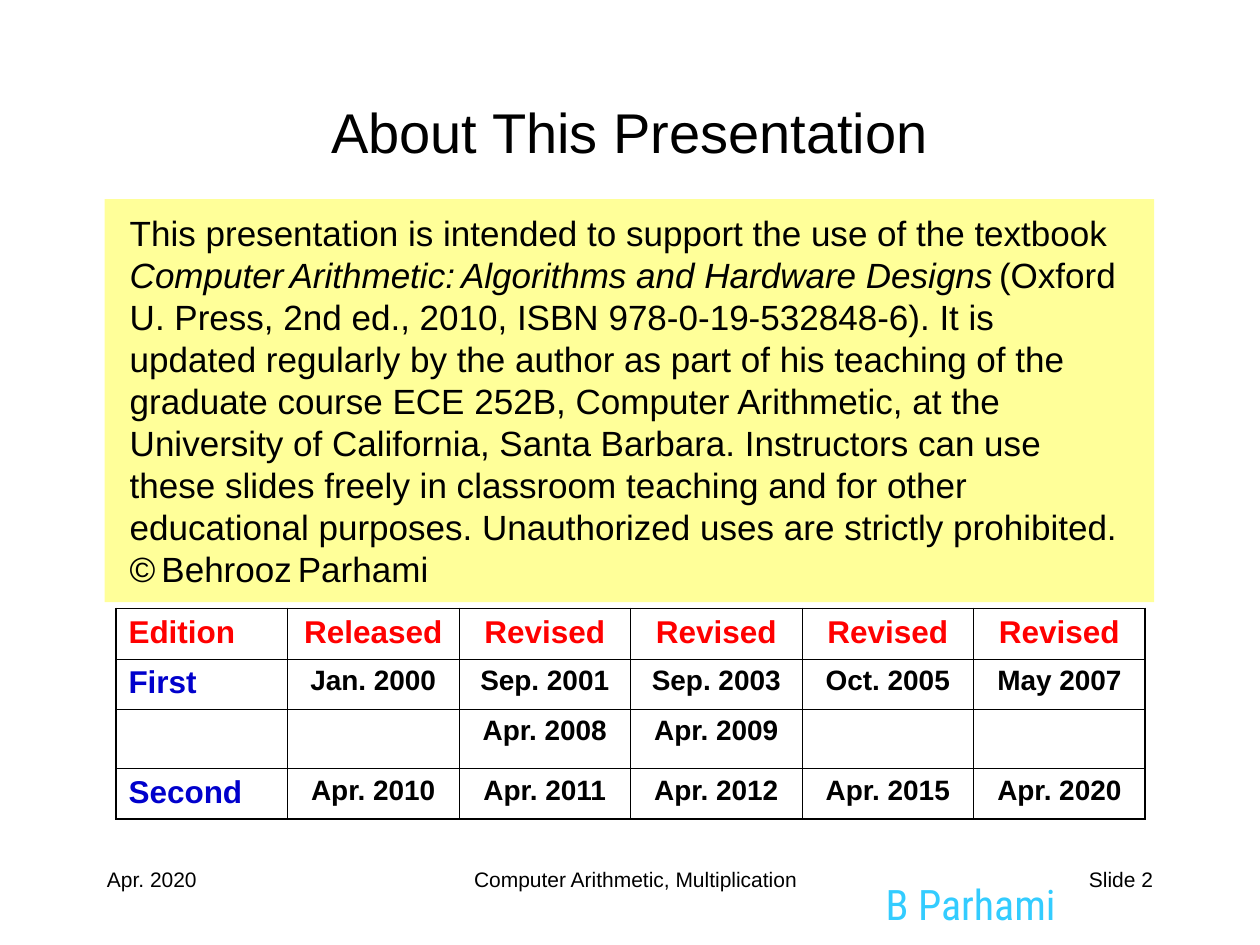
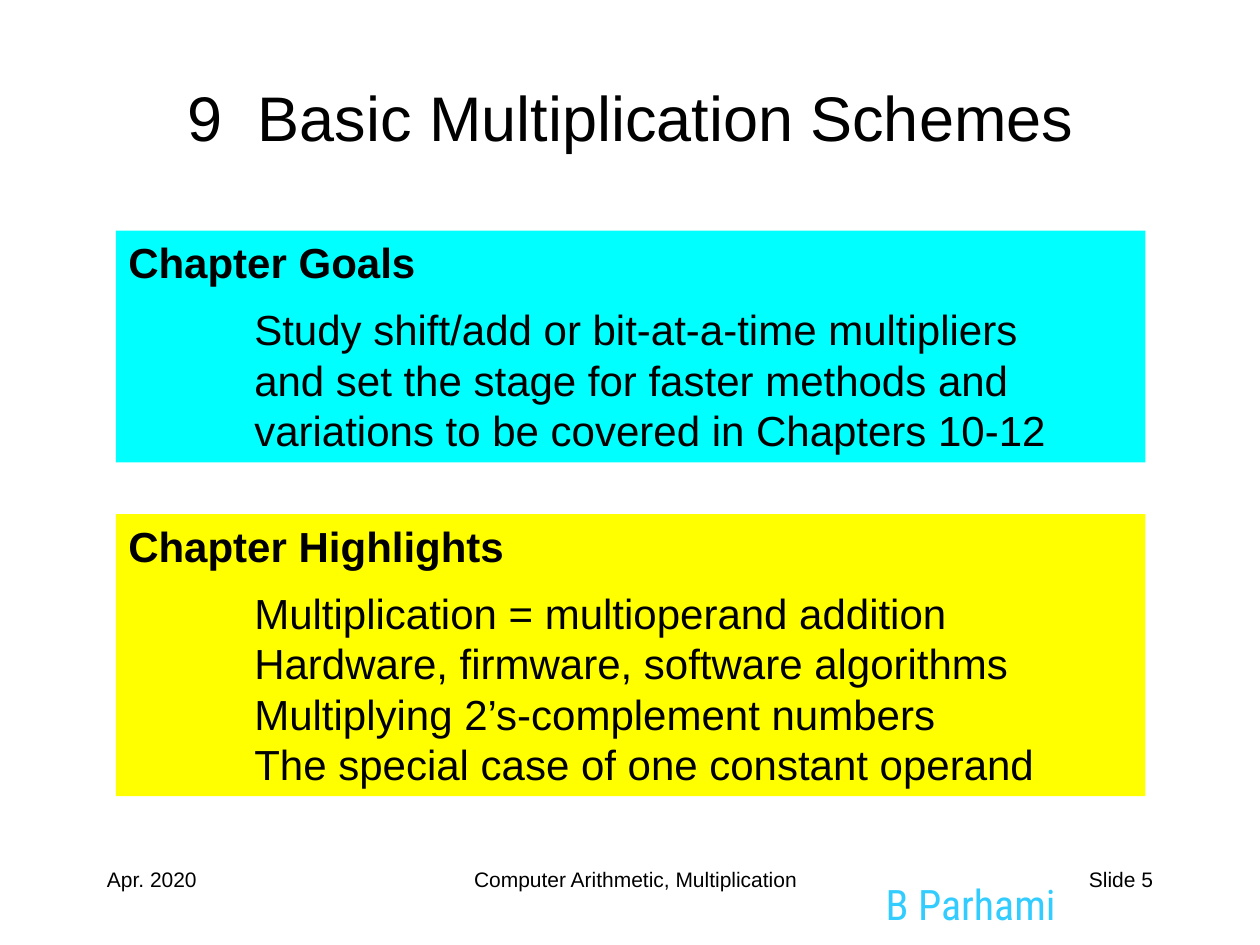
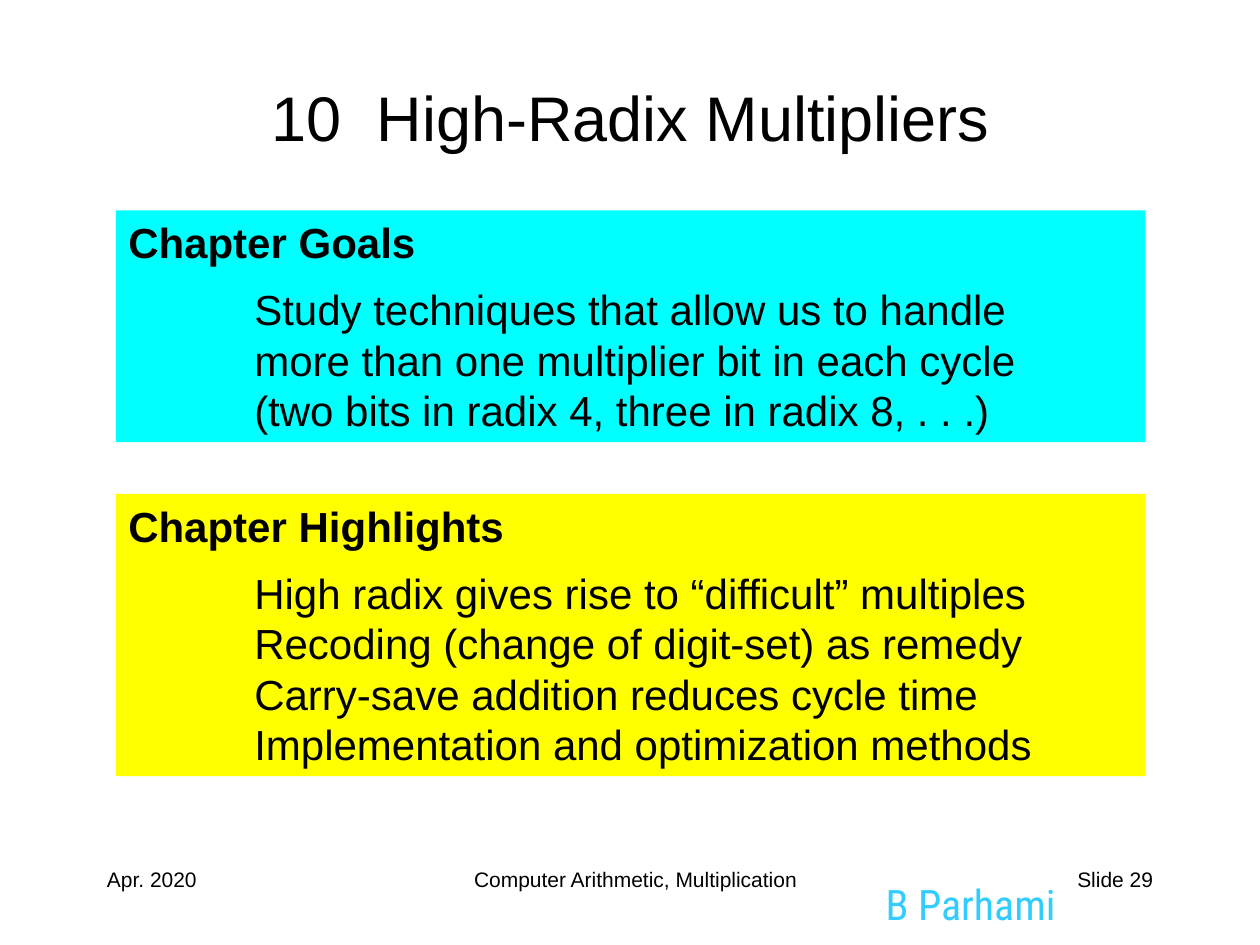
from pptx import Presentation
from pptx import util as u
from pptx.dml.color import RGBColor
from pptx.enum import shapes, text
from pptx.oxml.ns import qn
from lxml import etree

# Shared look
FONT = "Arial"
BLACK, RED, BLUE, SKY = "000000", "FF0000", "0000CC", "33CCFF"
CREAM, CYAN, YELLOW = "FFFF99", "00FFFF", "FFFF00"
LEFT, CENTER, RIGHT = text.PP_ALIGN.LEFT, text.PP_ALIGN.CENTER, text.PP_ALIGN.RIGHT
LEAD = 1.2  # line pitch per point of size
EDGE, WIDE = 0.92, 8.17  # left and width of panels and table


def color(code):
    return RGBColor.from_string(code)


def add_run(para, words, size, code=BLACK, bold=False, italic=False, font=FONT):
    run = para.add_run()
    run.text = words
    run.font.name, run.font.size = font, u.Pt(size)
    run.font.bold, run.font.italic = bold, italic
    run.font.color.rgb = color(code)
    return run


def add_label(slide, box, align=LEFT, anchor=text.MSO_ANCHOR.TOP):
    """Add an empty text box and return its first paragraph."""
    frame = slide.shapes.add_textbox(*map(u.Inches, box)).text_frame
    frame.word_wrap = True
    frame.vertical_anchor = anchor
    para = frame.paragraphs[0]
    para.alignment = align
    return para


def add_panel(slide, box, fill, pad):
    """Add a filled rectangle and return its text frame."""
    panel = slide.shapes.add_shape(shapes.MSO_SHAPE.RECTANGLE, *map(u.Inches, box))
    panel.shadow.inherit = False
    panel.fill.solid()
    panel.fill.fore_color.rgb = color(fill)
    panel.line.fill.background()
    frame = panel.text_frame
    frame.word_wrap = True
    frame.vertical_anchor = text.MSO_ANCHOR.TOP
    frame.margin_left = frame.margin_right = u.Inches(pad)
    frame.margin_top = frame.margin_bottom = u.Inches(pad / 2)
    return frame


def set_para(para, size):
    para.alignment = LEFT
    para.line_spacing = u.Pt(size * LEAD)


# Frame of every slide
def add_slide(deck, number):
    slide = deck.slides.add_slide(deck.slide_layouts[6])
    mark = add_label(slide, (6.93, 6.92, 1.6, 0.42))
    add_run(mark, "B Parhami", 24, SKY, font="Roboto Condensed")
    feet = [
        (0.75, 2.08, LEFT, "Apr. 2020"),
        (2.42, 5.25, CENTER, "Computer Arithmetic, Multiplication"),
        (7.17, 2.08, RIGHT, f"Slide {number}"),
    ]
    for left, width, align, words in feet:
        add_run(add_label(slide, (left, 6.83, width, 0.5), align), words, 12)
    return slide


def add_title(slide, box, words, size, number=None):
    para = add_label(slide, box, CENTER, text.MSO_ANCHOR.MIDDLE)
    if number:
        add_run(para, number, size)
        gap = add_run(para, " ", size)
        gap.font._element.set("spc", "1000")  # widen the gap by 10 pt
    add_run(para, words, size)


# Chapter slides
def add_list(slide, top, height, fill, head, lines):
    frame = add_panel(slide, (EDGE, top, WIDE, height), fill, 0.1)
    para = frame.paragraphs[0]
    set_para(para, 24)
    add_run(para, head, 24, bold=True)
    for i, line in enumerate(lines):
        para = frame.add_paragraph()
        para._p.get_or_add_pPr().set("marL", str(u.Inches(1)))
        set_para(para, 24)
        if i == 0:
            para.space_before = u.Pt(9.6)
        add_run(para, line, 24)


def add_chapter(deck, page, number, name, top, goals, points):
    slide = add_slide(deck, page)
    add_title(slide, (0.42, 0.42, 9.17, 1), name, 36, number)
    add_list(slide, top, 1.84, CYAN, "Chapter Goals", goals)
    add_list(slide, top + 2.25, 2.24, YELLOW, "Chapter Highlights", points)


# Edition table
def set_edge(cell, side, width):
    line = etree.SubElement(cell._tc.get_or_add_tcPr(), qn(f"a:ln{side}"))
    line.set("w", str(u.Pt(width)))
    fill = etree.SubElement(line, qn("a:solidFill"))
    etree.SubElement(fill, qn("a:srgbClr")).set("val", BLACK)


def add_grid(slide, top, rows, heights):
    last, end = len(rows) - 1, len(rows[0]) - 1
    box = (EDGE, top, WIDE, sum(heights))
    grid = slide.shapes.add_table(last + 1, end + 1, *map(u.Inches, box)).table
    for col in grid.columns:
        col.width = u.Inches(WIDE / (end + 1))
    for r, row in enumerate(rows):
        grid.rows[r].height = u.Inches(heights[r])
        for c, words in enumerate(row):
            cell = grid.cell(r, c)
            outer = {"L": c == 0, "R": c == end, "T": r == 0, "B": r == last}
            for side, thick in outer.items():
                set_edge(cell, side, 1.08 if thick else 0.45)
            cell.fill.background()
            para = cell.text_frame.paragraphs[0]
            para.alignment = CENTER if c else LEFT
            if words:
                code = RED if r == 0 else BLACK if c else BLUE
                size = 16 if r and c else 18
                add_run(para, words, size, code, bold=True)


def add_about(deck):
    slide = add_slide(deck, 2)
    add_title(slide, (0.75, 0.5, 8.5, 1.08), "About This Presentation", 32)
    add_grid(slide, 4.83, [
        ["Edition", "Released"] + ["Revised"] * 4,
        ["First", "Jan. 2000", "Sep. 2001", "Sep. 2003", "Oct. 2005", "May 2007"],
        ["", "", "Apr. 2008", "Apr. 2009", "", ""],
        ["Second", "Apr. 2010", "Apr. 2011", "Apr. 2012", "Apr. 2015", "Apr. 2020"],
    ], [0.4, 0.4, 0.47, 0.4])
    para = add_panel(slide, (0.83, 1.58, 8.33, 3.2), CREAM, 0.2).paragraphs[0]
    set_para(para, 20)
    parts = [
        ("This presentation is intended to support the use of the textbook ", False),
        ("Computer", True),
        (" ", True),
        ("Arithmetic:", True),
        (" ", True),
        ("Algorithms and Hardware Designs", True),
        (" ", True),
        ("(Oxford U. Press, 2nd ed., 2010, ISBN 978-0-19-532848-6). It is updated "
         "regularly by the author as part of his teaching of the graduate course "
         "ECE 252B, Computer Arithmetic, at the University of California, Santa "
         "Barbara. Instructors can use these slides freely in classroom teaching "
         "and for other educational purposes. Unauthorized uses are strictly "
         "prohibited. ©", False),
        (" ", False),
        ("Behrooz", False),
        (" ", False),
        ("Parhami", False),
    ]
    for words, italic in parts:
        add_run(para, words, 12 if words == " " else 20, italic=italic)


def main():
    deck = Presentation()
    deck.slide_width, deck.slide_height = u.Inches(10), u.Inches(7.5)
    add_about(deck)
    add_chapter(
        deck, 5, "9", "Basic Multiplication Schemes", 1.83,
        ["Study shift/add or bit-at-a-time multipliers",
         "and set the stage for faster methods and",
         "variations to be covered in Chapters 10-12"],
        ["Multiplication = multioperand addition",
         "Hardware, firmware, software algorithms",
         "Multiplying 2’s-complement numbers",
         "The special case of one constant operand"])
    add_chapter(
        deck, 29, "10", "High-Radix Multipliers", 1.67,
        ["Study techniques that allow us to handle",
         "more than one multiplier bit in each cycle",
         "(two bits in radix 4, three in radix 8, . . .)"],
        ["High radix gives rise to “difficult” multiples",
         "Recoding (change of digit-set) as remedy",
         "Carry-save addition reduces cycle time",
         "Implementation and optimization methods"])
    deck.save("out.pptx")


if __name__ == "__main__":
    main()
